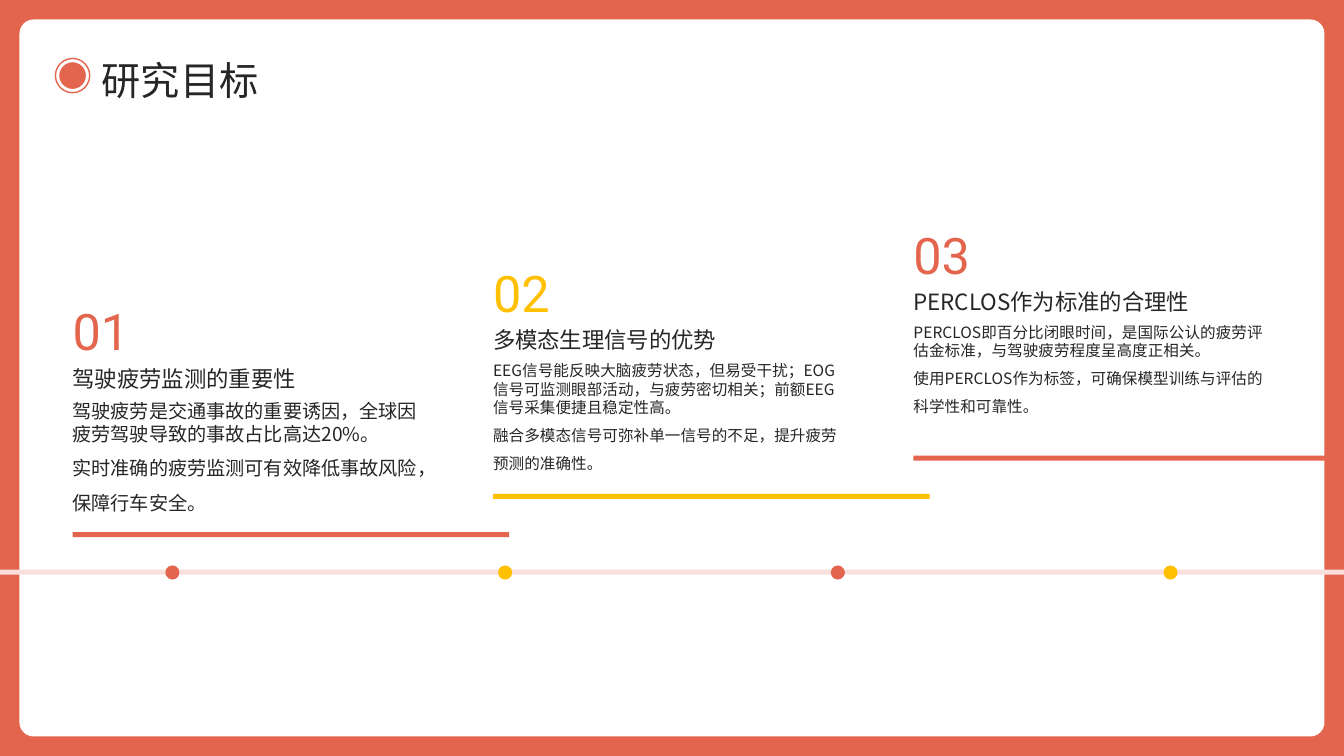
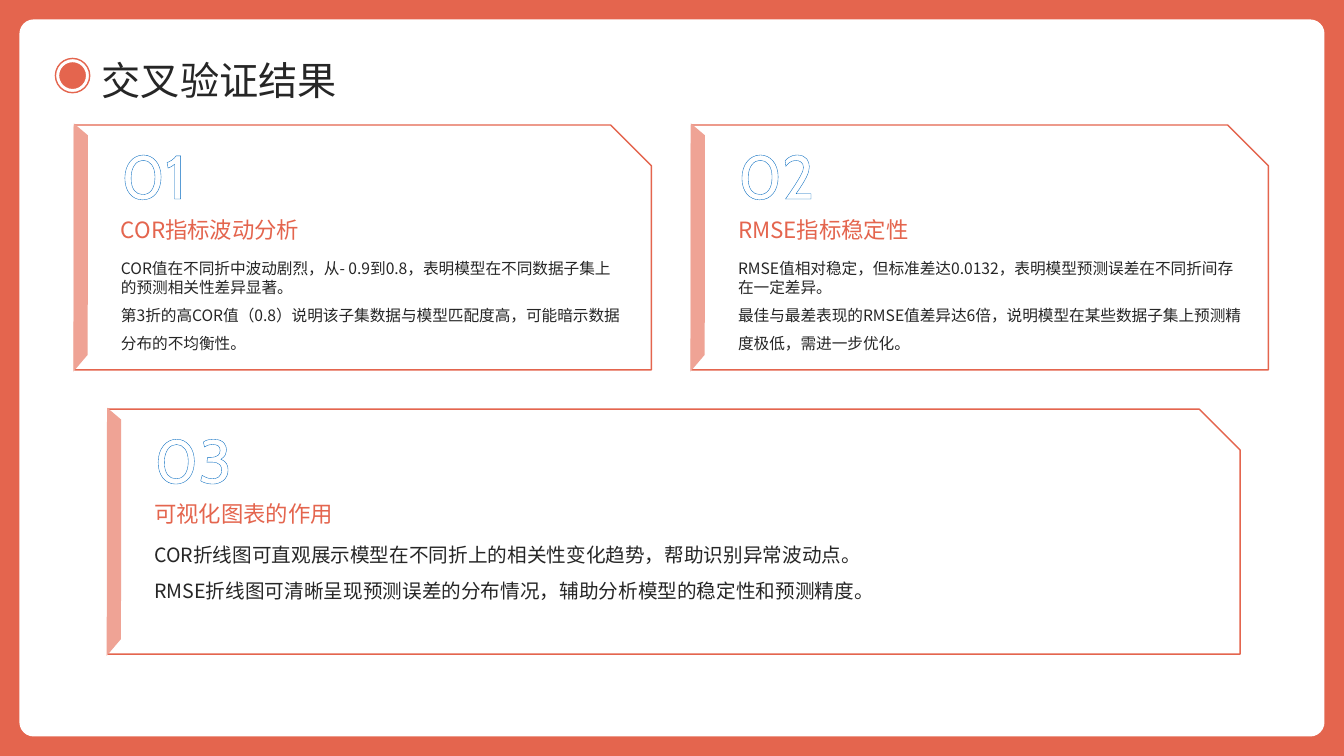
from lxml import etree
from pptx import Presentation
from pptx.dml.color import RGBColor
from pptx.enum import shapes as kinds, text as modes
from pptx.oxml import ns
from pptx.util import Inches, Pt

CORAL = RGBColor(0xE4, 0x65, 0x4E)
GOLD = RGBColor(0xFF, 0xC0, 0x00)
BLUSH = RGBColor(0xFA, 0xE0, 0xDC)
SALMON = RGBColor(0xEF, 0xA3, 0x95)
INK = RGBColor(0x26, 0x26, 0x26)
WHITE = RGBColor(0xFF, 0xFF, 0xFF)
BLUE = RGBColor(0x00, 0x68, 0xBF)
SANS = "Noto Sans CJK SC"
WIDE, HIGH = 13.33, 7.5
KIND = kinds.MSO_SHAPE
TOP, MID, LOW = modes.MSO_ANCHOR.TOP, modes.MSO_ANCHOR.MIDDLE, modes.MSO_ANCHOR.BOTTOM

STEPS = [
    ("01", "驾驶疲劳监测的重要性", 13.7, CORAL, [
        "驾驶疲劳是交通事故的重要诱因，全球因疲劳驾驶导致的事故占比高达20%。",
        "实时准确的疲劳监测可有效降低事故风险，保障行车安全。"]),
    ("02", "多模态生理信号的优势", 11.1, GOLD, [
        "EEG信号能反映大脑疲劳状态，但易受干扰；EOG信号可监测眼部活动，与疲劳密切相关；前额EEG信号采集便捷且稳定性高。",
        "融合多模态信号可弥补单一信号的不足，提升疲劳预测的准确性。"]),
    ("03", "PERCLOS作为标准的合理性", 11.1, CORAL, [
        "PERCLOS即百分比闭眼时间，是国际公认的疲劳评估金标准，与驾驶疲劳程度呈高度正相关。",
        "使用PERCLOS作为标签，可确保模型训练与评估的科学性和可靠性。"]),
]

CARDS = [
    ((0.74, 1.24, 5.72, 2.43), "01", "COR指标波动分析", 11.2, [
        "COR值在不同折中波动剧烈，从- 0.9到0.8，表明模型在不同数据子集上的预测相关性差异显著。",
        "第3折的高COR值（0.8）说明该子集数据与模型匹配度高，可能暗示数据分布的不均衡性。"]),
    ((6.86, 1.24, 5.72, 2.43), "02", "RMSE指标稳定性", 11.2, [
        "RMSE值相对稳定，但标准差达0.0132，表明模型预测误差在不同折间存在一定差异。",
        "最佳与最差表现的RMSE值差异达6倍，说明模型在某些数据子集上预测精度极低，需进一步优化。"]),
    ((1.07, 4.06, 11.23, 2.43), "03", "可视化图表的作用", 14, [
        "COR折线图可直观展示模型在不同折上的相关性变化趋势，帮助识别异常波动点。",
        "RMSE折线图可清晰呈现预测误差的分布情况，辅助分析模型的稳定性和预测精度。"]),
]


def draw(host, kind, box, fill, line=None, adj=None):
    shape = host.add_shape(kind, *map(Inches, box))
    shape.shadow.inherit = False
    shape.fill.solid()
    shape.fill.fore_color.rgb = fill
    if line is None:
        shape.line.fill.background()
    else:
        shape.line.color.rgb = line
        shape.line.width = Pt(1)
    if adj is not None:
        shape.adjustments[0] = adj
    return shape


def fill_text(shape, lines, size, color, face=SANS, anchor=TOP, gaps=(1.0,)):
    frame = shape.text_frame
    frame.word_wrap = True
    frame.auto_size = modes.MSO_AUTO_SIZE.NONE
    frame.vertical_anchor = anchor
    frame.margin_left = frame.margin_right = 0
    frame.margin_top = frame.margin_bottom = 0
    for i, line in enumerate(lines):
        para = frame.add_paragraph() if i else frame.paragraphs[0]
        para.alignment = modes.PP_ALIGN.LEFT
        para.line_spacing = gaps[i]
        run = para.add_run()
        run.text = line
        run.font.size = Pt(size)
        run.font.color.rgb = color
        run.font.name = face
        east = etree.SubElement(run.font._element, ns.qn("a:ea"))
        east.set("typeface", face)
    return frame


def write(slide, box, lines, size, color, **style):
    shape = slide.shapes.add_textbox(*map(Inches, box))
    return fill_text(shape, lines, size, color, **style)


def write_body(slide, box, lines, size):
    write(slide, box, lines, size, INK, gaps=(1.0, 1.5))


def outline(run, color, width):
    line = etree.Element(ns.qn("a:ln"), w=str(Pt(width)))
    fill = etree.SubElement(line, ns.qn("a:solidFill"))
    etree.SubElement(fill, ns.qn("a:srgbClr"), val=str(color))
    run.font._element.insert(0, line)


def add_base(deck, name):
    slide = deck.slides.add_slide(deck.slide_layouts[5])
    draw(slide.shapes, KIND.RECTANGLE, (0, 0, WIDE, HIGH), CORAL)
    draw(slide.shapes, KIND.ROUNDED_RECTANGLE,
         (0.2, 0.2, WIDE - 0.4, HIGH - 0.4), WHITE, WHITE, 0.019)
    title = slide.shapes.title
    title.left, title.top, title.width, title.height = map(
        Inches, (1.01, 0.51, 11.88, 0.51))
    fill_text(title, [name], 28, INK, anchor=MID, gaps=(1.1,))
    slide.shapes._spTree.append(title._element)
    badge = slide.shapes.add_group_shape().shapes
    draw(badge, KIND.OVAL, (0.55, 0.58, 0.34, 0.34), WHITE, CORAL)
    draw(badge, KIND.OVAL, (0.58, 0.61, 0.28, 0.28), CORAL, WHITE)
    return slide


def add_track(slide, left, top, width):
    draw(slide.shapes, KIND.ROUNDED_RECTANGLE,
         (left, top, width, 0.05), BLUSH, adj=0.5)
    for i in range(4):
        draw(slide.shapes, KIND.OVAL, (1.64 + 3.3 * i, top - 0.04, 0.14, 0.14),
             GOLD if i % 2 else CORAL)


def add_step(slide, left, top, step):
    mark, head, size, color, lines = step
    width = 3.54
    draw(slide.shapes, KIND.RECTANGLE, (left, top + 2.34, 4.33, 0.05), color)
    write(slide, (left, top, width, 0.64), [mark], 36, color,
          face="Roboto", anchor=LOW)
    write(slide, (left, top + 0.68, width, 0.34), [head], 16, INK)
    write_body(slide, (left, top + 1.02, width, 1.14), lines, size)


def add_card(slide, box, mark, head, size, lines):
    left, top, width, height = box
    draw(slide.shapes, KIND.SNIP_1_RECTANGLE, box, WHITE, CORAL)
    fold = draw(slide.shapes, KIND.DIAGONAL_STRIPE,
                (left - 0.95, top + 0.42, 1.88, 1.59), SALMON, adj=0.884)
    fold.rotation = 130.3
    inner, span = left + 0.46, width - 0.73
    frame = write(slide, (inner, top + 0.1, 1.18, 0.56), [mark], 44, WHITE,
                  face="Cabin", anchor=MID, gaps=(1.3,))
    outline(frame.paragraphs[0].runs[0], BLUE, 1.25)
    write(slide, (inner, top + 0.67, span, 0.66), [head], 16, CORAL,
          anchor=MID, gaps=(1.3,))
    write_body(slide, (inner, top + 1.33, span, 0.94), lines, size)


def add_goals(deck):
    slide = add_base(deck, "研究目标")
    add_track(slide, -0.77, 5.65, 14.87)
    for i, step in enumerate(STEPS):
        add_step(slide, 0.72 + 4.17 * i, 2.94 - 0.38 * i, step)


def add_results(deck):
    slide = add_base(deck, "交叉验证结果")
    for card in CARDS:
        add_card(slide, *card)


def main():
    deck = Presentation()
    deck.slide_width, deck.slide_height = Inches(WIDE), Inches(HIGH)
    add_goals(deck)
    add_results(deck)
    deck.save("out.pptx")


if __name__ == "__main__":
    main()
